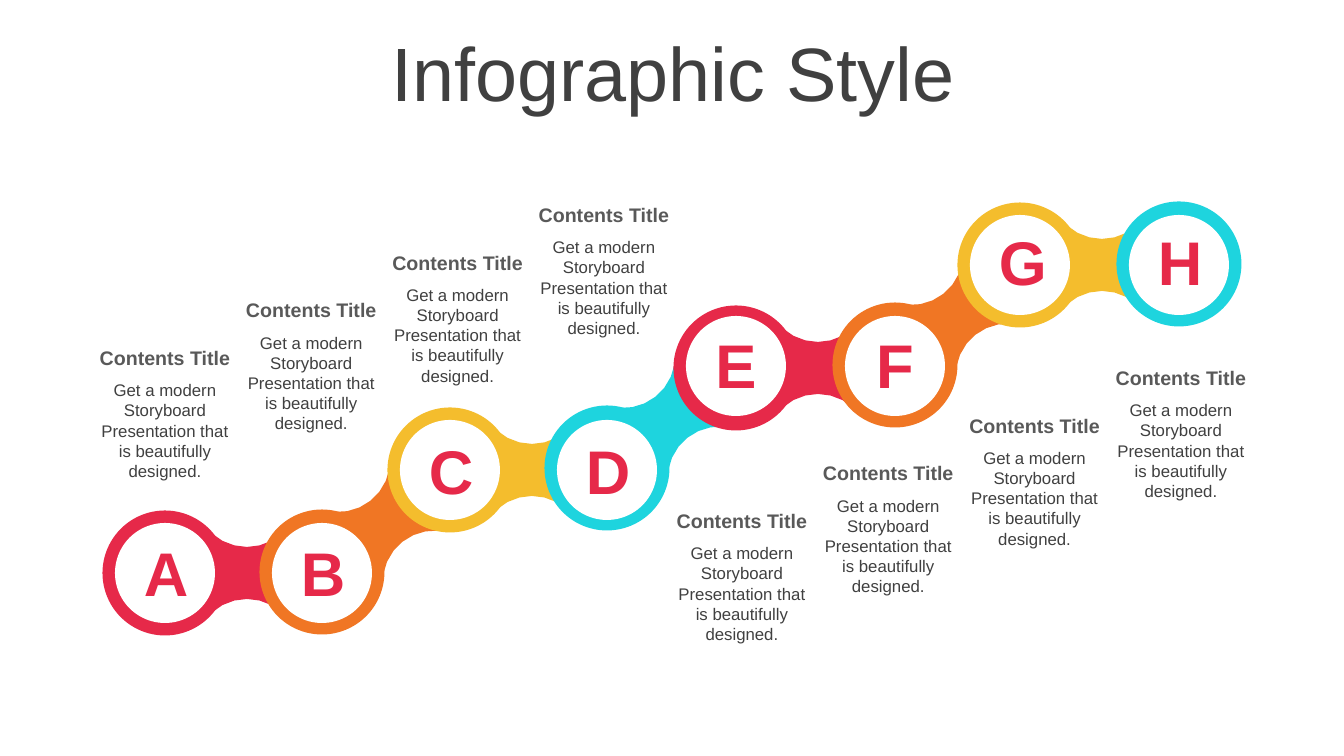
import itertools
import math

import pptx
import pptx.dml.color
import pptx.enum.shapes
import pptx.enum.text
import pptx.util

ROSE = pptx.dml.color.RGBColor(0xE6, 0x29, 0x49)
ORANGE = pptx.dml.color.RGBColor(0xF0, 0x76, 0x24)
YELLOW = pptx.dml.color.RGBColor(0xF4, 0xBD, 0x2D)
CYAN = pptx.dml.color.RGBColor(0x1E, 0xD4, 0xDE)
WHITE = pptx.dml.color.RGBColor(0xFF, 0xFF, 0xFF)
DARK_GREY = pptx.dml.color.RGBColor(0x40, 0x40, 0x40)
GREY = pptx.dml.color.RGBColor(0x59, 0x59, 0x59)

EMU_PER_PX = 914400 / 100.8
RING_SIZE, DISC_SIZE = 125, 100
LINK_ANGLES = (0, 38.2)
NODES = [
    ("A", 165, 573, 573, 530),
    ("B", 322, 572, 573, 530),
    ("C", 450, 470, 470, 428),
    ("D", 607, 468, 470, 428),
    ("E", 736, 368, 366, 322),
    ("F", 895, 365, 366, 322),
    ("G", 1020, 265, 265, 219),
    ("H", 1179, 264, 265, 219),
]
CAPTION_ROWS = [(85, 341), (662, 504)]
CAPTIONS_PER_ROW, ROW_RUN, ROW_RISE = 4, 439, 143
CAPTION_TITLE = "Contents Title"
CAPTION_BODY = "Get a modern Storyboard Presentation that is beautifully designed."


def px(value):
    """Turn pixels into EMU."""
    return pptx.util.Emu(round(value * EMU_PER_PX))


def link_outline():
    """Return the waisted link's outline relative to its circle's centre."""
    arc = [
        (82 + 52 * math.sin(math.radians(angle)), 52 * math.cos(math.radians(angle)) - 78)
        for angle in range(-42, 43, 14)
    ]
    upper = [(31, -46), (41, -46), *arc, (123, -46), (133, -46)]
    return upper + [(x, -y) for x, y in reversed(upper)]


class SlideBuilder:
    """Draw styled elements on one slide."""

    font_name = "Arial"

    def __init__(self, slide):
        """Keep the slide to draw on."""
        self.slide = slide

    def paint(self, shape, color):
        """Give a shape a plain fill without line or shadow."""
        shape.shadow.inherit = False
        shape.fill.solid()
        shape.fill.fore_color.rgb = color
        shape.line.fill.background()

    def circle(self, center_x, center_y, size, color):
        """Add a filled circle around a centre."""
        shape = self.slide.shapes.add_shape(
            pptx.enum.shapes.MSO_SHAPE.OVAL,
            px(center_x - size / 2), px(center_y - size / 2), px(size), px(size),
        )
        self.paint(shape, color)

    def link(self, center_x, center_y, angle, color):
        """Add a link that leaves a circle, turned upwards by an angle."""
        cosine, sine = math.cos(math.radians(angle)), math.sin(math.radians(angle))
        points = [
            (px(center_x + x * cosine + y * sine), px(center_y - x * sine + y * cosine))
            for x, y in link_outline()
        ]
        builder = self.slide.shapes.build_freeform(*points[0])
        builder.add_line_segments(points[1:])
        self.paint(builder.convert_to_shape(), color)

    def text(self, content, left, top, width, height, size, color, bold=False, inset=10):
        """Add a centred text box and return it."""
        shape = self.slide.shapes.add_textbox(px(left), px(top), px(width), px(height))
        frame = shape.text_frame
        frame.word_wrap = True
        frame.margin_left = frame.margin_right = px(inset)
        frame.margin_top = frame.margin_bottom = px(5)
        frame.text = content
        paragraph = frame.paragraphs[0]
        paragraph.alignment = pptx.enum.text.PP_ALIGN.CENTER
        font = paragraph.runs[0].font
        font.name = self.font_name
        font.size = pptx.util.Pt(size)
        font.bold = bold
        font.color.rgb = color
        return shape

    def headline(self, content):
        """Add the slide's title."""
        frame = self.text(content, 35, 37, 1276, 80, 54, DARK_GREY).text_frame
        frame.vertical_anchor = pptx.enum.text.MSO_ANCHOR.MIDDLE
        frame.paragraphs[0].line_spacing = 0.9

    def caption(self, left, top):
        """Add a caption with its heading above the body."""
        self.text(CAPTION_BODY, left, top + 34, 160, 112, 12, DARK_GREY)
        self.text(CAPTION_TITLE, left, top, 160, 34, 14, GREY, bold=True, inset=12)


def main():
    """Build the slide and save it."""
    presentation = pptx.Presentation()
    presentation.slide_width, presentation.slide_height = px(1344), px(756)
    builder = SlideBuilder(presentation.slides.add_slide(presentation.slide_layouts[6]))
    builder.headline("Infographic Style")

    colors = itertools.cycle((ROSE, ORANGE, YELLOW, CYAN))
    for index, ((_, x, ring_y, _, _), color) in enumerate(zip(NODES, colors)):
        if index < len(NODES) - 1:
            builder.link(x, ring_y, LINK_ANGLES[index % 2], color)
        builder.circle(x, ring_y, RING_SIZE, color)
    for _, x, _, disc_y, _ in NODES:
        builder.circle(x, disc_y, DISC_SIZE, WHITE)
    for letter, x, _, _, letter_top in NODES:
        builder.text(letter, x - 31, letter_top, 62, 85, 44, ROSE, bold=True)

    for left, top in CAPTION_ROWS:
        for index in range(CAPTIONS_PER_ROW):
            share = index / (CAPTIONS_PER_ROW - 1)
            builder.caption(left + ROW_RUN * share, top - ROW_RISE * share)

    presentation.save("out.pptx")


if __name__ == "__main__":
    main()
